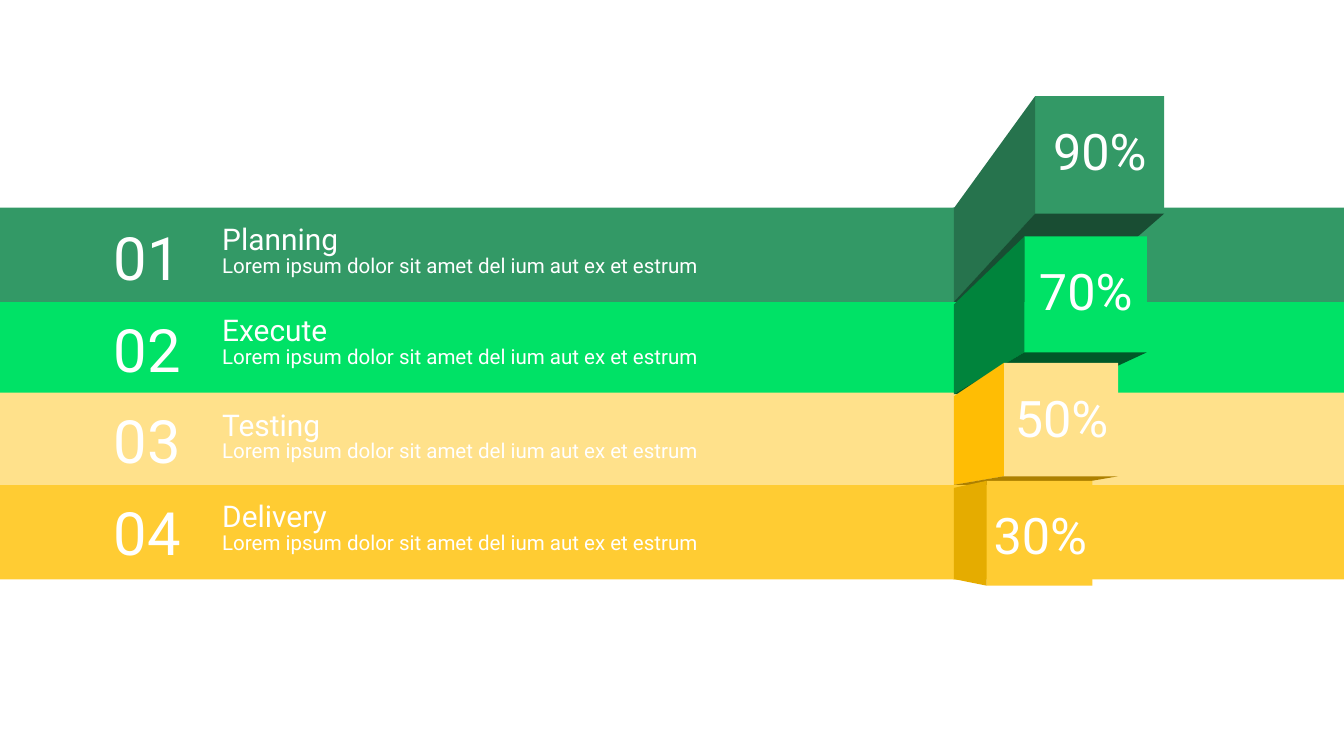
import pptx
import pptx.util
from pptx.dml.color import RGBColor
from pptx.enum.shapes import MSO_SHAPE
from pptx.enum.text import MSO_ANCHOR, MSO_AUTO_SIZE, PP_ALIGN
from pptx.util import Inches

WHITE = RGBColor(0xFF, 0xFF, 0xFF)
GREEN = RGBColor(0x33, 0x99, 0x66)
GREEN_MID = RGBColor(0x26, 0x73, 0x4D)
GREEN_DARK = RGBColor(0x19, 0x4D, 0x33)
LIME = RGBColor(0x00, 0xE2, 0x66)
LIME_MID = RGBColor(0x00, 0x84, 0x3C)
LIME_DARK = RGBColor(0x00, 0x58, 0x28)
CREAM = RGBColor(0xFF, 0xE1, 0x8B)
CREAM_MID = RGBColor(0xFF, 0xBD, 0x04)
CREAM_DARK = RGBColor(0xAD, 0x80, 0x00)
GOLD = RGBColor(0xFF, 0xCC, 0x33)
GOLD_MID = RGBColor(0xE5, 0xAC, 0x00)

FILLS = [GREEN, LIME, CREAM, GOLD]
NOTE = "Lorem ipsum dolor sit amet del ium aut ex et estrum"
TOP, PITCH, BAND = 4.12, 1.835, 1.87
WALL = 18.93  # left edge shared by all the blocks

# title, text top, number top
ROWS = [
    ("Planning", 4.44, 3.87),
    ("Execute", 6.25, 5.71),
    ("Testing", 8.12, 7.5),
    ("Delivery", 9.93, 9.34),
]

# label, label place, front (left, top, width, height),
# wall (top, bottom, colour), underside (right, colour)
BLOCKS = [
    ("90%", (20.79, 2.34), (20.54, 1.91, 2.56, 2.33),
     (4.13, 5.99, GREEN_MID), (21.09, GREEN_DARK)),
    ("70%", (20.51, 5.11), (20.33, 4.69, 2.43, 2.3),
     (6.04, 7.82, LIME_MID), (20.97, LIME_DARK)),
    ("50%", (20.03, 7.63), (19.92, 7.2, 2.27, 2.25),
     (7.86, 9.62, CREAM_MID), (21.2, CREAM_DARK)),
    ("30%", (19.61, 9.96), (19.58, 9.54, 2.1, 2.08),
     (9.68, 11.49, GOLD_MID), None),
]


class Deck:
    font = "Roboto"
    ink = WHITE

    def __init__(self, slide):
        self.slide = slide

    def paint(self, shape, fill):
        shape.shadow.inherit = False
        shape.fill.solid()
        shape.fill.fore_color.rgb = fill
        shape.line.fill.background()

    def box(self, kind, at, fill):
        shape = self.slide.shapes.add_shape(kind, *map(Inches, at))
        self.paint(shape, fill)
        return shape

    def band(self, at, fill):
        self.box(MSO_SHAPE.PENTAGON, at, fill).adjustments[0] = 0

    def face(self, points, fill):
        dots = [(Inches(x), Inches(y)) for x, y in points]
        build = self.slide.shapes.build_freeform(*dots[0])
        build.add_line_segments(dots[1:], close=True)
        self.paint(build.convert_to_shape(), fill)

    def text(self, at, lines, align=PP_ALIGN.LEFT, space=None, inset=0.1,
             wrap=True, grow=True, anchor=MSO_ANCHOR.TOP):
        frame = self.slide.shapes.add_textbox(*map(Inches, at)).text_frame
        frame.word_wrap = wrap
        frame.auto_size = (MSO_AUTO_SIZE.SHAPE_TO_FIT_TEXT if grow
                           else MSO_AUTO_SIZE.NONE)
        frame.vertical_anchor = anchor
        frame.margin_left = frame.margin_right = Inches(inset)
        for i, (words, size) in enumerate(lines):
            para = frame.add_paragraph() if i else frame.paragraphs[0]
            para.alignment = align
            if space:
                para.line_spacing = space
            run = para.add_run()
            run.text = words
            run.font.name = self.font
            run.font.size = pptx.util.Pt(size)
            run.font.color.rgb = self.ink

    def block(self, label, place, front, wall, under, fill):
        left, top, width, height = front
        base = top + height
        high, low, shade = wall
        self.box(MSO_SHAPE.RECTANGLE, front, fill)
        self.face([(WALL, low), (WALL, high), (left, top), (left, base)], shade)
        if under:
            right, dark = under
            self.face([(WALL, low), (right, low), (left + width, base),
                       (left, base)], dark)
        self.text((*place, 2.07, 1.31), [(label, 72)],
                  align=PP_ALIGN.CENTER, wrap=False)


def main():
    show = pptx.Presentation()
    show.slide_width, show.slide_height = Inches(26.67), Inches(15)
    deck = Deck(show.slides.add_slide(show.slide_layouts[6]))

    # Bands, right half then left half; the first row lies on top
    for left, width in [(18.91, 10.73), (-1.87, 20.88)]:
        for i in (1, 2, 3, 0):
            deck.band((left, TOP + i * PITCH, width, BAND), FILLS[i])

    # Titles and notes
    for title, top, _ in ROWS:
        deck.text((4.41, top, 11.8, 1.13), [(title, 42.7), (NOTE, 29.3)],
                  space=0.85, inset=0)

    # Blocks with their shares
    for parts, fill in zip(BLOCKS, FILLS):
        deck.block(*parts, fill)

    # Row numbers
    for i, (_, _, top) in enumerate(ROWS, 1):
        deck.text((1.48, top, 2.88, 2.43), [(f"{i:02}", 85.3)],
                  align=PP_ALIGN.CENTER, grow=False, anchor=MSO_ANCHOR.MIDDLE)

    show.save("out.pptx")


if __name__ == "__main__":
    main()
